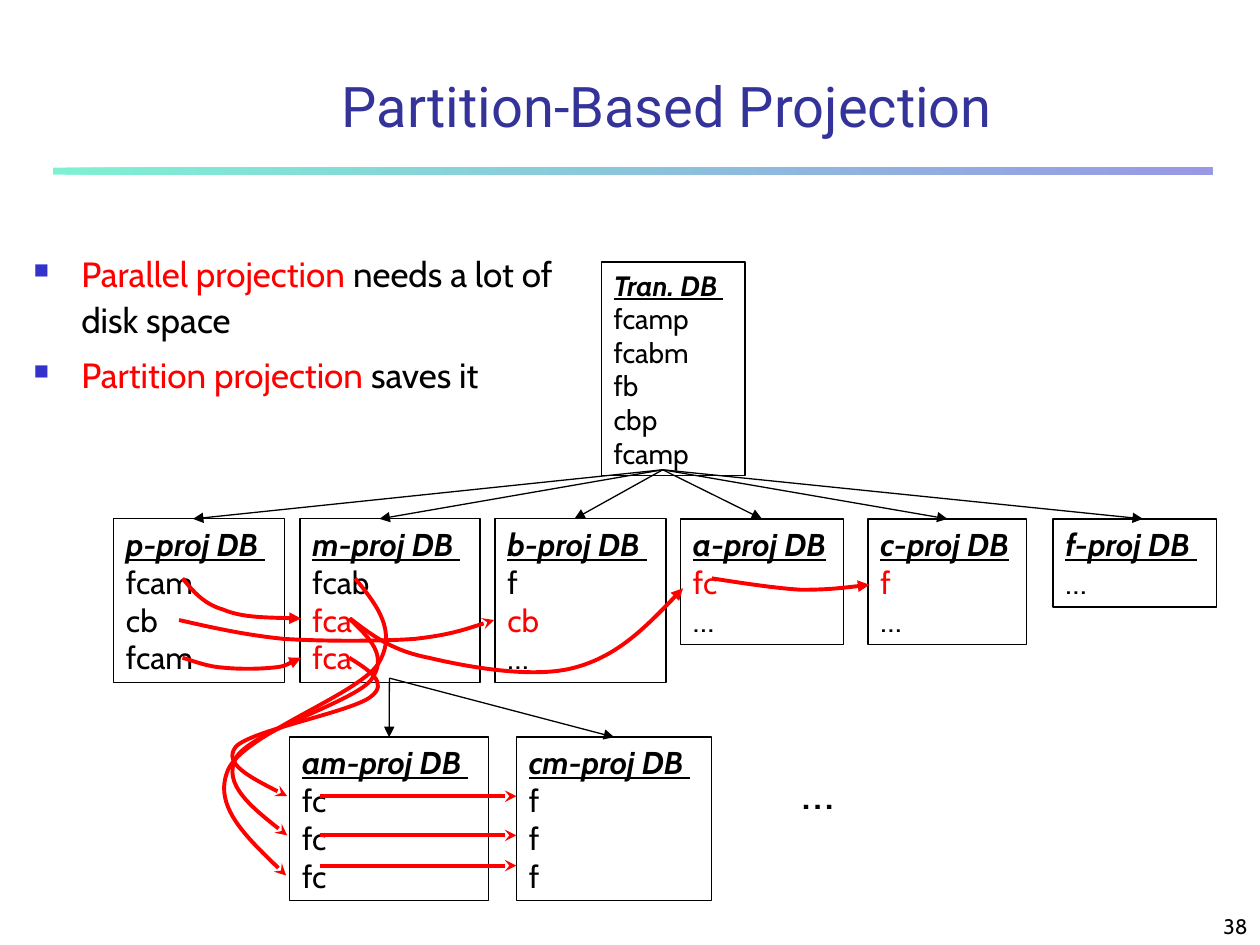
import itertools

import pptx
import pptx.dml.color
import pptx.enum.shapes
import pptx.enum.text
import pptx.oxml.ns
import pptx.util
from lxml import etree

Cm, Pt = pptx.util.Cm, pptx.util.Pt
qn = pptx.oxml.ns.qn
color = pptx.dml.color.RGBColor.from_string
ALIGN = pptx.enum.text.PP_ALIGN
ANCHOR = pptx.enum.text.MSO_ANCHOR
RECTANGLE = pptx.enum.shapes.MSO_SHAPE.RECTANGLE
STRAIGHT = pptx.enum.shapes.MSO_CONNECTOR.STRAIGHT
BLACK, RED, BLUE = "000000", "FF0000", "3333CC"


def style_line(shape, line_color, width, arrow=None):
    """Set the line and its end arrowhead, and remove the shadow."""
    shape.line.color.rgb = color(line_color)
    shape.line.width = Pt(width)
    properties = shape.element.spPr
    if arrow:
        etree.SubElement(properties.find(qn("a:ln")), qn("a:tailEnd"), type=arrow)
    etree.SubElement(properties, qn("a:effectLst"))


def write_text(shape, paragraphs, size, font="Cabin", align=ALIGN.LEFT, anchor=ANCHOR.TOP):
    """Fill a shape with paragraphs, each a list of (text, color, font format) runs."""
    frame = shape.text_frame
    frame.word_wrap = True
    frame.vertical_anchor = anchor
    for index, runs in enumerate(paragraphs):
        paragraph = frame.add_paragraph() if index else frame.paragraphs[0]
        paragraph.alignment = align
        for text, text_color, font_format in runs:
            run = paragraph.add_run()
            run.text = text
            run.font.color.rgb = color(text_color)
            for name, value in {"name": font, "size": Pt(size), **font_format}.items():
                setattr(run.font, name, value)


presentation = pptx.Presentation()
presentation.slide_width, presentation.slide_height = Cm(25.4), Cm(19.05)
slide = presentation.slides.add_slide(presentation.slide_layouts[6])
shapes = slide.shapes

# Rule under the title
rule = shapes.add_shape(RECTANGLE, Cm(1.07), Cm(3.38), Cm(23.37), Cm(0.14))
rule.shadow.inherit = False
rule.line.fill.background()
rule.fill.gradient()
rule.fill.gradient_angle = 0
for stop, stop_color in zip(rule.fill.gradient_stops, ["00E4A8", BLUE]):
    stop.color.rgb = color(stop_color)
for stop_element in rule.element.iter(qn("a:srgbClr")):
    etree.SubElement(stop_element, qn("a:alpha"), val="50000")

# Title, slide number and ellipsis
labels = [
    ((2.54, 1.27, 21.82, 1.7), "Partition-Based Projection", "333399", 32, "Roboto",
     ALIGN.CENTER, ANCHOR.MIDDLE),
    ((20.12, 17.98, 5.28, 1.07), "38", BLACK, 12, "Cabin", ALIGN.RIGHT, ANCHOR.BOTTOM),
    ((15.9, 15.21, 1.27, 1.45), "…", BLACK, 28, "Cabin", ALIGN.LEFT, ANCHOR.TOP),
]
for place, text, text_color, size, font, align, anchor in labels:
    label = shapes.add_textbox(*map(Cm, place))
    write_text(label, [[(text, text_color, {})]], size, font, align, anchor)

# Bulleted points
points = shapes.add_textbox(Cm(0.43), Cm(4.88), Cm(11.43), Cm(3.81))
write_text(points, [
    [("Parallel projection ", RED, {}), ("needs a lot of disk space", BLACK, {})],
    [("Partition projection ", RED, {}), ("saves it", BLACK, {})],
], 20)
for index, paragraph in enumerate(points.text_frame.paragraphs):
    properties = paragraph._p.get_or_add_pPr()
    properties.set("marL", str(Cm(0.96)))
    properties.set("indent", str(-Cm(0.96)))
    bullet_color = etree.SubElement(properties, qn("a:buClr"))
    etree.SubElement(bullet_color, qn("a:srgbClr"), val=BLUE)
    etree.SubElement(properties, qn("a:buSzPct"), val="60000")
    etree.SubElement(properties, qn("a:buChar"), char="■")
    spacing = {"line_spacing": 1.1, "space_before": Pt(5 if index else 0)}
    for name, value in spacing.items():
        setattr(paragraph, name, value)

# Databases: left, top, width, text size, heading, rows, numbers of the red rows
databases = [
    (12.12, 5.28, 2.9, 16, "Tran. DB ", ["fcamp", "fcabm", "fb", "cbp", "fcamp"], []),
    (2.29, 10.46, 3.45, 18, "p-proj DB ", ["fcam", "cb", "fcam"], []),
    (6.05, 10.46, 3.63, 18, "m-proj DB ", ["fcab", "fca", "fca"], [1, 2]),
    (9.98, 10.46, 3.45, 18, "b-proj DB ", ["f", "cb", "…"], [1]),
    (13.72, 10.46, 3.28, 18, "a-proj DB", ["fc", "…"], [0]),
    (17.5, 10.46, 3.2, 18, "c-proj DB", ["f", "…"], [0]),
    (21.23, 10.46, 3.3, 18, "f-proj DB ", ["…"], []),
    (5.84, 14.86, 4.01, 18, "am-proj DB ", ["fc"] * 3, []),
    (10.41, 14.86, 3.94, 18, "cm-proj DB ", ["f"] * 3, []),
]
heading_format = {"bold": True, "italic": True, "underline": True}
boxes = {}
for left, top, width, size, heading, rows, red_rows in databases:
    height = 0.26 + size * 0.0422 * (1 + len(rows))
    box = shapes.add_shape(RECTANGLE, Cm(left), Cm(top), Cm(width), Cm(height))
    box.fill.background()
    style_line(box, BLACK, 0.75)
    paragraphs = [[(heading, BLACK, heading_format)]]
    for index, row in enumerate(rows):
        paragraphs.append([(row, RED if index in red_rows else BLACK, {})])
    write_text(box, paragraphs, size)
    boxes[heading.split("-")[0]] = box

# Black arrows from a database to its projections
transaction_start, m_start = (13.36, 9.47), (7.85, 13.67)
projections = [
    (transaction_start, "p", 3.89), (transaction_start, "m", 7.65),
    (transaction_start, "b", 11.58), (transaction_start, "a", 15.34),
    (transaction_start, "c", 19.1), (transaction_start, "f", 23.04),
    (m_start, "am", 7.85), (m_start, "cm", 12.4),
]
for start, target, end_x in projections:
    box = boxes[target]
    arrow = shapes.add_connector(STRAIGHT, *map(Cm, start), Cm(end_x), box.top)
    if abs(box.left + box.width / 2 - Cm(end_x)) < Cm(0.05):
        arrow.end_connect(box, 0)
    style_line(arrow, BLACK, 0.75, "triangle")

# Red arrows from the rows of am to the rows of cm
for y in [16.05, 16.84, 17.45]:
    arrow = shapes.add_connector(STRAIGHT, Cm(6.45), Cm(y), Cm(10.41), Cm(y))
    style_line(arrow, RED, 2.25, "stealth")

# Red curves: arrowhead, start, then two control points and an end per segment
curves = [
    ("triangle", [(3.68, 11.66), (3.89, 11.91), (4.09, 12.17), (4.5, 12.29),
                  (4.88, 12.45), (5.49, 12.45), (6.07, 12.47)]),
    ("triangle", [(7.06, 12.47), (7.47, 12.78), (7.87, 13.11), (8.64, 13.26),
                  (9.4, 13.44), (10.74, 13.69), (11.58, 13.46),
                  (12.45, 13.23), (13.11, 12.55), (13.77, 11.86)]),
    ("triangle", [(14.35, 11.66), (14.99, 11.76), (15.65, 11.86), (16.15, 11.89),
                  (16.69, 11.89), (17.09, 11.84), (17.53, 11.79)]),
    ("triangle", [(3.68, 13.26), (3.94, 13.34), (4.19, 13.44), (4.5, 13.46),
                  (4.78, 13.49), (5.21, 13.49), (5.49, 13.46),
                  (5.74, 13.44), (5.89, 13.34), (6.07, 13.26)]),
    ("stealth", [(7.04, 13.26), (7.44, 13.51), (7.85, 13.77), (7.47, 14.05),
                 (7.09, 14.35), (5.03, 14.73), (4.75, 15.06),
                 (4.5, 15.39), (5.13, 15.72), (5.79, 16.05)]),
    ("stealth", [(7.04, 12.47), (7.44, 12.85), (7.85, 13.23), (7.47, 13.72),
                 (7.09, 14.17), (5.03, 14.76), (4.75, 15.29),
                 (4.5, 15.8), (5.13, 16.33), (5.79, 16.84)]),
    ("stealth", [(7.16, 11.66), (7.59, 12.19), (8.03, 12.73), (7.62, 13.39),
                 (7.19, 14.02), (4.9, 14.81), (4.6, 15.52),
                 (4.29, 16.23), (5.03, 16.94), (5.77, 17.65)]),
    ("stealth", [(3.61, 12.5), (4.27, 12.65), (4.93, 12.8), (5.72, 12.88),
                 (6.5, 12.93), (7.65, 12.93), (8.36, 12.88),
                 (9.07, 12.8), (9.5, 12.65), (9.96, 12.5)]),
]
for arrowhead, curve_points in curves:
    start, *others = [(Cm(x), Cm(y)) for x, y in curve_points]
    builder = shapes.build_freeform(*start)
    builder.add_line_segments(others, close=False)
    curve = builder.convert_to_shape()
    # Merge every three straight segments into one Bezier segment
    segments = list(curve.element.iter(qn("a:lnTo")))
    for first, second, third in itertools.zip_longest(*[iter(segments)] * 3):
        first.tag = qn("a:cubicBezTo")
        for segment in (second, third):
            first.append(segment[0])
            segment.getparent().remove(segment)
    curve.fill.background()
    style_line(curve, RED, 2.25, arrowhead)

presentation.save("out.pptx")
